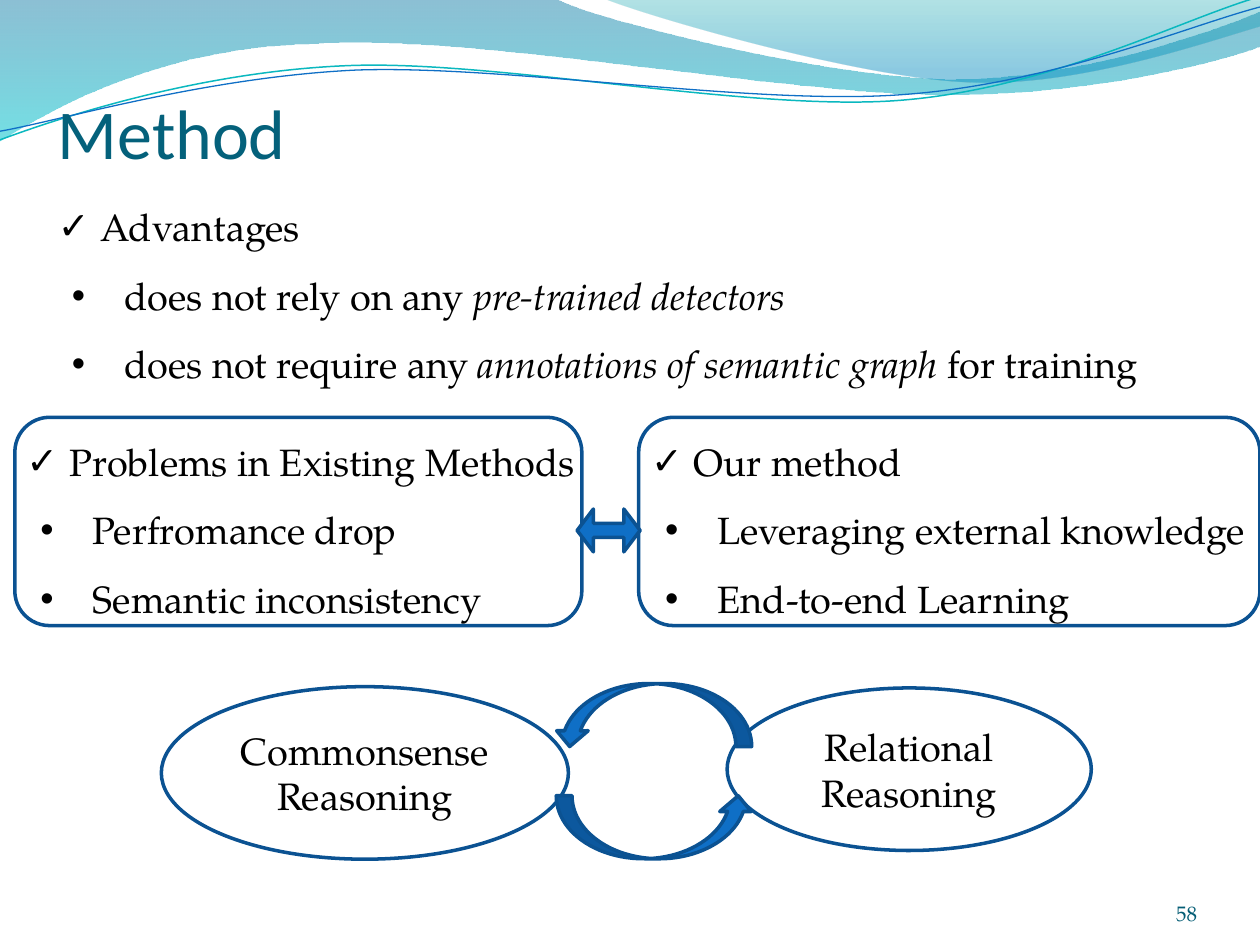
import pptx
import pptx.util
import pptx.dml.color
import pptx.enum.shapes
import pptx.enum.text
import pptx.oxml.ns
from lxml import etree

Pt = pptx.util.Pt
RGB = pptx.dml.color.RGBColor.from_string
SHAPE = pptx.enum.shapes.MSO_SHAPE
ALIGN = pptx.enum.text.PP_ALIGN
ANCHOR = pptx.enum.text.MSO_ANCHOR
qn = pptx.oxml.ns.qn

THEME = {
    "title": {"name": "Calibri", "size": Pt(40), "color": "04617B"},
    "body": {"name": "TeX Gyre Pagella", "size": Pt(21.7), "color": "000000"},
    "number": {"name": "TeX Gyre Pagella", "size": Pt(12), "color": "045D75"},
    "accent": "0F6FC6", "outline": "0B5292", "teal": "0AB8BF", "paper": "FFFFFF",
}


def add_run(p, text, style, italic=False):
    r = p.add_run()
    r.text = text
    for name, value in THEME[style].items():
        if name == "color":
            r.font.color.rgb = RGB(value)
        else:
            setattr(r.font, name, value)
    if italic:
        r.font.italic = True


def add_curve(start, segments, closed):
    """Draw straight (one point) and cubic (three point) segments as an outline."""
    builder = s.shapes.build_freeform(Pt(start[0]), Pt(start[1]))
    builder.add_line_segments([(Pt(x), Pt(y)) for seg in segments for x, y in seg], close=closed)
    sp = builder.convert_to_shape()
    sp.shadow.inherit = False
    steps = iter(list(sp._element.iter(qn("a:lnTo"))))
    for seg in segments:
        first, *others = [next(steps) for _ in seg]
        if others:
            cubic = etree.Element(qn("a:cubicBezTo"))
            first.addprevious(cubic)
            for step in (first, *others):
                cubic.append(step[0])
                step.getparent().remove(step)
    return sp


prs = pptx.Presentation()
prs.slide_width, prs.slide_height = Pt(720), Pt(540)
s = prs.slides.add_slide(prs.slide_layouts[6])

# Wave bands: start, segments, gradient stops (position, colour, opacity in %)
bands = [
    ((0, 0),
     [[(317, -1)], [(343, 12), (478, 45), (546, 45)], [(614, 45), (690, 19), (720, 6.5)],
      [(721, 26)], [(708, 32), (626, 55), (537, 54)], [(448, 54), (275, 20), (185, 24.5)],
      [(93, 26), (33, 60), (-1, 81)]],
     [(0, "0074A1", 45), (1, "00C6CF", 55)]),
    ((345, -1),
     [[(366, 8), (491, 45), (554, 47)], [(616, 50), (692, 23), (720, 15)], [(720, 0)]],
     [(0, "00A1A9", 30), (0.8, "008BBF", 45)]),
]
for start, segments, stops in bands:
    sp = add_curve(start, segments, True)
    sp.line.fill.background()
    sp.fill.gradient()
    sp.fill.gradient_angle = 270
    for stop, (position, color, _) in zip(sp.fill.gradient_stops, stops):
        stop.position = position
        stop.color.rgb = RGB(color)
    for clr, (_, _, opacity) in zip(sp._element.iter(qn("a:srgbClr")), stops):
        etree.SubElement(clr, qn("a:alpha"), val=str(opacity * 1000))

wave_lines = [
    ((-1.4, 63), [[(34, 51.7), (114, 29.4), (199, 30)], [(284, 30.5), (426, 67), (512, 64.7)],
                  [(599, 62.3), (676, 26), (720.5, 15.4)]], "teal", 0.85),
    ((-1.1, 58), [[(33, 53.7), (118, 32.6), (204, 32.7)], [(290, 33.7), (429, 63.8), (515, 61.4)],
                  [(601, 59.4), (679, 30), (721.4, 21)]], "accent", 0.75),
]
for start, segments, color, width in wave_lines:
    sp = add_curve(start, segments, False)
    sp.rotation = 357.3
    sp.fill.background()
    sp.line.color.rgb = RGB(THEME[color])
    sp.line.width = Pt(width)

# Title
tf = s.shapes.add_textbox(Pt(26), Pt(47.5), Pt(714), Pt(55.5)).text_frame
tf.word_wrap = True
add_run(tf.paragraphs[0], "Method", "title")

# Lists: a checked heading, then bullets made of (text, italic) pieces
lists = [
    (26, 100, 694, [
        [("Advantages", False)],
        [("does not rely on any ", False), ("pre-trained detectors", True)],
        [("does not require any ", False), ("annotations of semantic graph", True),
         (" for training", False)]]),
    (8, 234, 334, [[("Problems in Existing Methods", False)],
                   [("Perfromance drop", False)], [("Semantic inconsistency", False)]]),
    (365, 234, 437, [[("Our method", False)],
                     [("Leveraging external knowledge", False)],
                     [("End-to-end Learning", False)]]),
]
for x, y, w, items in lists:
    tf = s.shapes.add_textbox(Pt(x), Pt(y), Pt(w), Pt(126)).text_frame
    tf.word_wrap = True
    for i, pieces in enumerate(items):
        p = tf.add_paragraph() if i else tf.paragraphs[0]
        p.line_spacing = 1.5
        margin, indent, char = (38, -30, "•") if i else (24.5, -24.5, "✓")
        pPr = p._p.get_or_add_pPr()
        pPr.set("marL", str(Pt(margin)))
        pPr.set("indent", str(Pt(indent)))
        etree.SubElement(pPr, qn("a:buFont"), typeface="Arial")
        etree.SubElement(pPr, qn("a:buChar"), char=char)
        for text, italic in pieces:
            add_run(p, text, "body", italic)

# Frames, ovals and arrows: shape, box, rotation, fill, text lines
diagram = [
    (SHAPE.ROUNDED_RECTANGLE, (8.5, 238.5, 324, 119), 0, None, []),
    (SHAPE.ROUNDED_RECTANGLE, (365, 238.5, 355, 119), 0, None, []),
    (SHAPE.LEFT_RIGHT_ARROW, (329.8, 290.9, 36, 24.5), 0, "accent", []),
    (SHAPE.OVAL, (92.2, 392.4, 232.6, 98.6), 0, "paper", ["Commonsense", "Reasoning"]),
    (SHAPE.OVAL, (415.5, 393.1, 208.1, 92.9), 0, "paper", ["Relational", "Reasoning"]),
    (SHAPE.CURVED_RIGHT_ARROW, (356.4, 416.2, 36, 113), 270, "accent", []),
    (SHAPE.CURVED_RIGHT_ARROW, (355, 352.1, 36, 113), 90, "accent", []),
]
for kind, box, rotation, fill, lines in diagram:
    sp = s.shapes.add_shape(kind, *map(Pt, box))
    sp.shadow.inherit = False
    sp.rotation = rotation
    if fill:
        sp.fill.solid()
        sp.fill.fore_color.rgb = RGB(THEME[fill])
    else:
        sp.fill.background()
    sp.line.color.rgb = RGB(THEME["outline"])
    sp.line.width = Pt(2)
    if kind == SHAPE.LEFT_RIGHT_ARROW:
        sp.adjustments[0], sp.adjustments[1] = 0.33, 0.38
    tf = sp.text_frame
    tf.vertical_anchor = ANCHOR.MIDDLE
    for i, text in enumerate(lines):
        p = tf.add_paragraph() if i else tf.paragraphs[0]
        p.alignment = ALIGN.CENTER
        add_run(p, text, "body")

# Slide number
tf = s.shapes.add_textbox(Pt(624), Pt(500.4), Pt(60), Pt(28.8)).text_frame
for name, value in {"word_wrap": True, "vertical_anchor": ANCHOR.BOTTOM, "margin_left": 0,
                    "margin_right": 0, "margin_top": 0, "margin_bottom": 0}.items():
    setattr(tf, name, value)
tf.paragraphs[0].alignment = ALIGN.RIGHT
add_run(tf.paragraphs[0], "58", "number")

prs.save("out.pptx")
